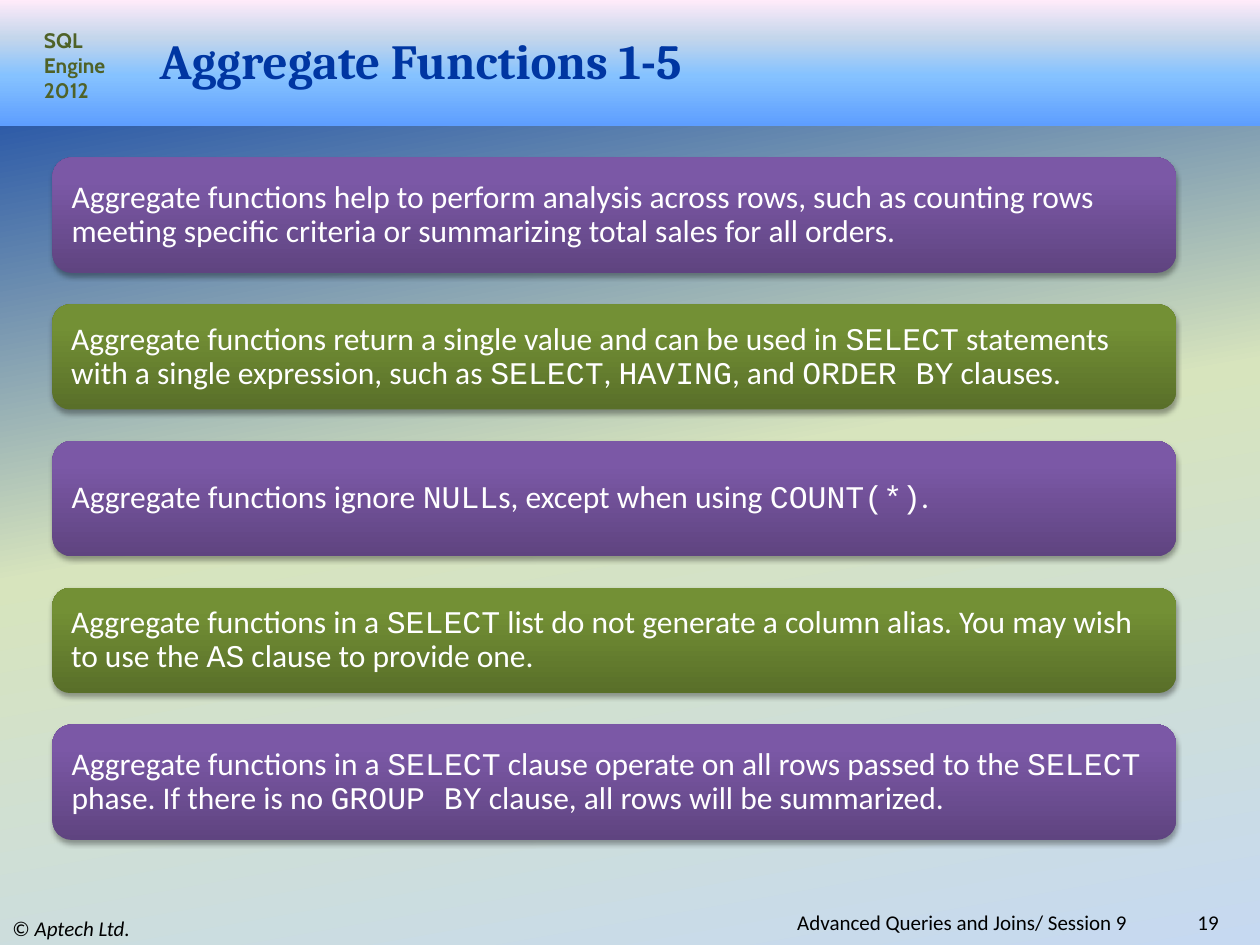
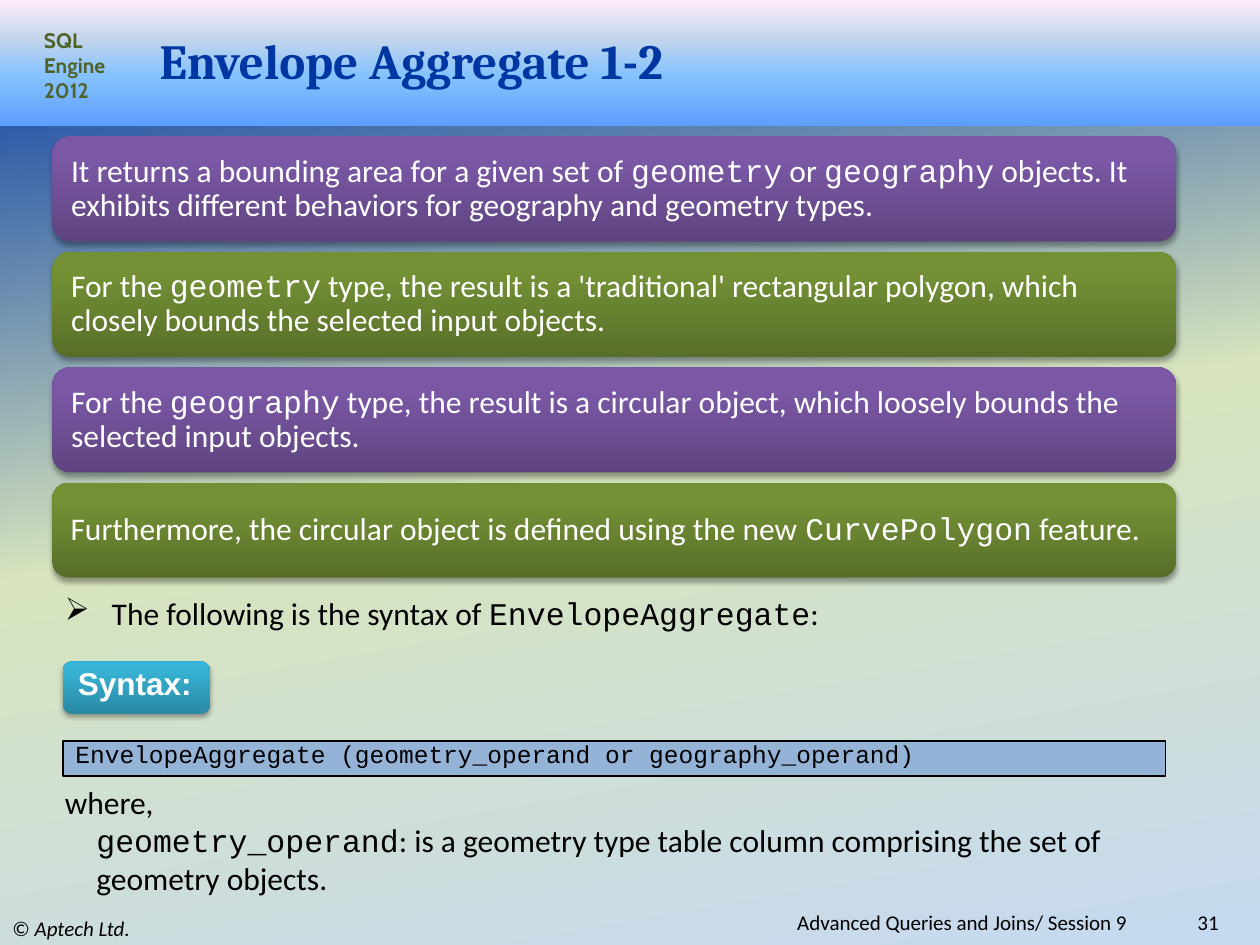
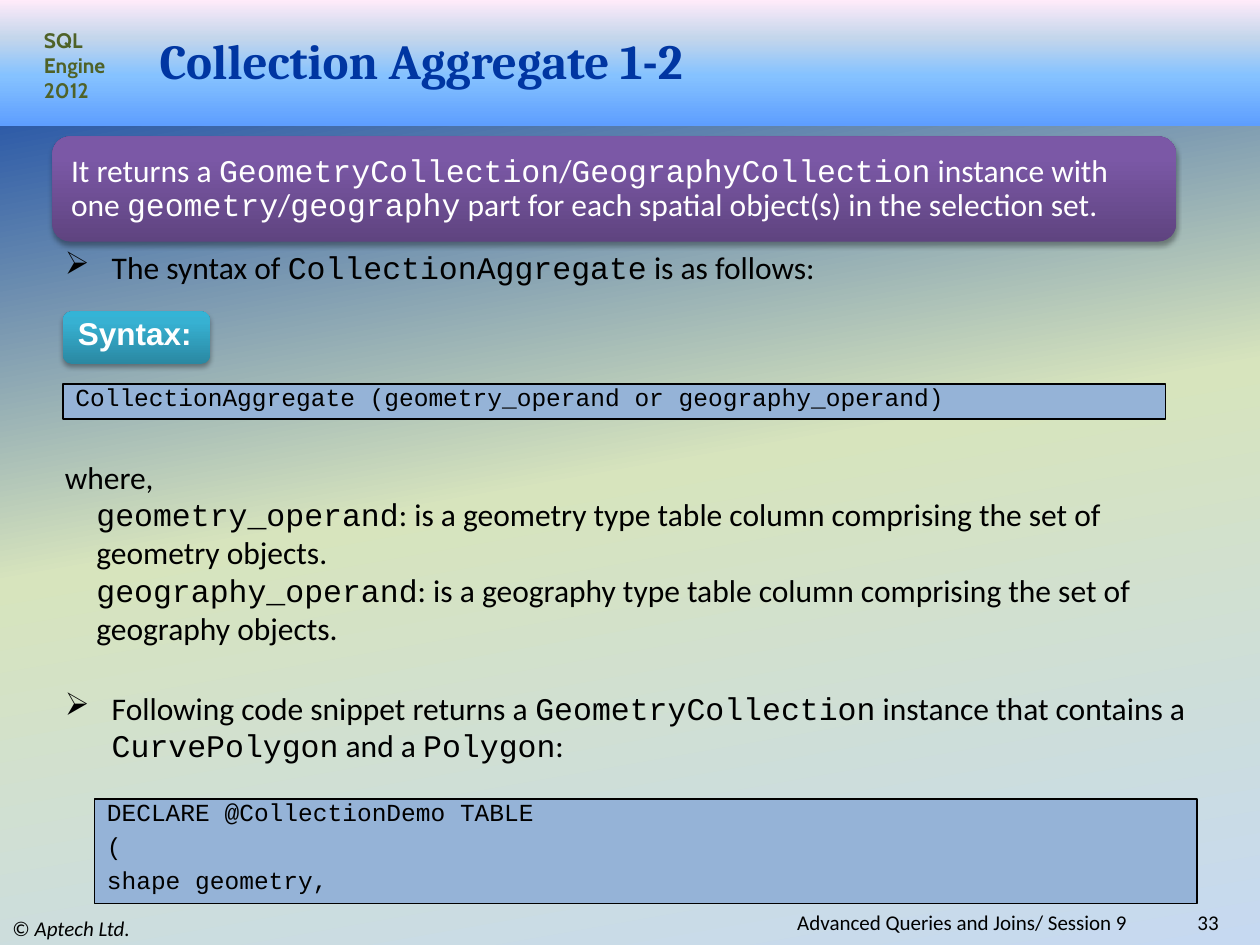
from lxml import etree
from pptx import Presentation
from pptx.dml.color import RGBColor
from pptx.enum.shapes import MSO_SHAPE
from pptx.enum.text import MSO_ANCHOR, MSO_AUTO_SIZE, PP_ALIGN
from pptx.oxml.ns import qn
from pptx.util import Pt

RECTANGLE = MSO_SHAPE.RECTANGLE
ROUNDED = MSO_SHAPE.ROUNDED_RECTANGLE
TOP, MIDDLE = MSO_ANCHOR.TOP, MSO_ANCHOR.MIDDLE
LEFT, RIGHT = PP_ALIGN.LEFT, PP_ALIGN.RIGHT
NO_AUTOFIT = MSO_AUTO_SIZE.NONE

TITLE_ONLY = 5
BODY_FONT, CODE_FONT = "Calibri", "Courier New"
BLACK, WHITE, NAVY, OLIVE, CODE_BLUE = "000000", "FFFFFF", "0036A2", "4F6228", "95B3D7"
BACKDROP = [(0, NAVY), (50, "D7E4BD"), (100, "C6D9F1")]
BAND = [(0, "5E9EFF"), (40, "85C2FF"), (70, "C4D6EB"), (100, "FFEBFA")]
PURPLE = [(0, "5F4480"), (80, "7B58A6"), (100, "7C57A8")]
GREEN = [(0, "596F29"), (80, "739035"), (100, "749334")]
TEAL = [(0, "2A88A2"), (80, "37B1D2"), (100, "34B4D6")]

GEOMETRY_OPERAND = (
    "`geometry_operand`: is a geometry type table column comprising the set of geometry objects."
)
GEOGRAPHY_OPERAND = (
    "`geography_operand`: is a geography type table column comprising the set of geography objects."
)


def rgb(value):
    return RGBColor.from_string(value)


def add_element(parent, tag, **attributes):
    element = etree.SubElement(parent, qn(tag))
    for name, value in attributes.items():
        element.set(name, str(value))
    return element


def paint_gradient(fill, holder, stops, angle):
    fill.gradient()
    gradient = next(holder.iter(qn("a:gradFill")))
    for child in list(gradient):
        gradient.remove(child)
    stop_list = add_element(gradient, "a:gsLst")
    for position, color in stops:
        stop = add_element(stop_list, "a:gs", pos=position * 1000)
        add_element(stop, "a:srgbClr", val=color)
    add_element(gradient, "a:lin", ang=angle * 60000, scaled=0)


def write(frame, text, size=18, font=BODY_FONT, color=BLACK, bold=False, align=LEFT,
          indent=0, bullet=None, line_spacing=None, before=None, accent=None):
    """Text between backticks takes the accent format."""
    paragraph = frame.paragraphs[0]
    if paragraph.runs:
        paragraph = frame.add_paragraph()
    if indent:
        properties = paragraph._p.get_or_add_pPr()
        properties.set("marL", str(Pt(indent)))
        properties.set("indent", str(-Pt(indent) if bullet else 0))
        if bullet:
            add_element(properties, "a:buChar", char=bullet)
    paragraph.alignment = align
    if line_spacing:
        paragraph.line_spacing = line_spacing
    if before:
        paragraph.space_before = Pt(before)
    for index, part in enumerate(text.split("`")):
        if not part:
            continue
        run = paragraph.add_run()
        run.text = part
        run.font.size = Pt(size)
        run.font.name = font
        run.font.bold = bold
        run.font.color.rgb = rgb(color)
        if index % 2:
            for name, value in (accent or {"name": CODE_FONT}).items():
                setattr(run.font, name, value)


class Deck:
    def __init__(self):
        self.presentation = Presentation()
        self.presentation.slide_width = Pt(720)
        self.presentation.slide_height = Pt(540)
        master = self.presentation.slide_master
        paint_gradient(master.background.fill, master.element, BACKDROP, 80)
        self.slide = None

    def start_slide(self, title, number):
        layout = self.presentation.slide_layouts[TITLE_ONLY]
        self.slide = self.presentation.slides.add_slide(layout)
        band = self.shape(RECTANGLE, 0, 0, 720, 72)
        paint_gradient(band.fill, band._element, BAND, 270)
        heading = self.slide.shapes.title
        heading._element.addprevious(band._element)
        heading.left, heading.top, heading.width, heading.height = Pt(84), Pt(18), Pt(600), Pt(32.4)
        frame = heading.text_frame
        frame.auto_size = NO_AUTOFIT
        frame.vertical_anchor = MIDDLE
        write(frame, title, size=28, font="Cambria", color=NAVY, bold=True)
        write(self.text_box(18, 12, 54, 51), "SQL Engine 2012",
              size=12, font="Cabin", color=OLIVE, bold=True)
        write(self.text_box(0, 520.5, 240, 19.5, MIDDLE), "© `Aptech Ltd.`",
              size=12, accent={"italic": True})
        write(self.text_box(180, 520.5, 474, 13, MIDDLE),
              "Advanced Queries and Joins/ Session 9 ", size=12, align=RIGHT)
        write(self.text_box(642, 520.5, 61.5, 13, MIDDLE), str(number), size=12, align=RIGHT)

    def shape(self, kind, left, top, width, height):
        shape = self.slide.shapes.add_shape(kind, Pt(left), Pt(top), Pt(width), Pt(height))
        shape.shadow.inherit = False
        shape.line.fill.background()
        shape.text_frame.word_wrap = True
        return shape

    def text_box(self, left, top, width, height, anchor=TOP):
        box = self.slide.shapes.add_textbox(Pt(left), Pt(top), Pt(width), Pt(height))
        frame = box.text_frame
        frame.word_wrap = True
        frame.vertical_anchor = anchor
        return frame

    def raised_box(self, left, top, width, height, stops):
        box = self.shape(ROUNDED, left, top, width, height)
        paint_gradient(box.fill, box._element, stops, 270)
        effects = next(box._element.iter(qn("a:effectLst")))
        shadow = add_element(effects, "a:outerShdw", blurRad=Pt(3.1), dist=Pt(1.8),
                             dir=5400000, rotWithShape=0)
        color = add_element(shadow, "a:srgbClr", val=BLACK)
        add_element(color, "a:alpha", val=35000)
        box.text_frame.vertical_anchor = MIDDLE
        return box.text_frame

    def panels(self, top, gap, items):
        for index, (height, text) in enumerate(items):
            frame = self.raised_box(30, top, 642, height, GREEN if index % 2 else PURPLE)
            frame.margin_left = frame.margin_right = Pt(7.75)
            frame.margin_top = frame.margin_bottom = Pt(3)
            write(frame, text, color=WHITE, line_spacing=0.9)
            top += height + gap

    def bullet(self, top, height, text):
        write(self.text_box(30, top, 660, height), text, indent=26.75, bullet="➢")

    def syntax_label(self, top):
        write(self.raised_box(36, top, 84, 30, TEAL), "Syntax:",
              font="Arial", color=WHITE, bold=True, line_spacing=0.7)

    def code(self, left, top, height, *lines):
        box = self.shape(RECTANGLE, left, top, 630, height)
        box.fill.solid()
        box.fill.fore_color.rgb = rgb(CODE_BLUE)
        box.line.color.rgb = rgb(BLACK)
        box.line.width = Pt(0.75)
        box.text_frame.vertical_anchor = TOP
        for index, line in enumerate(lines):
            write(box.text_frame, line, size=14, font=CODE_FONT, line_spacing=0.7,
                  before=7.75 if index else None)

    def where(self, top, height, *operands):
        frame = self.text_box(30, top, 666, height)
        write(frame, "where,")
        for operand in operands:
            write(frame, operand, indent=18)


def main():
    deck = Deck()

    deck.start_slide("Aggregate Functions 1-5", 19)
    deck.panels(90, 18, [
        (66, "Aggregate functions help to perform analysis across rows, such as counting rows "
             "meeting specific criteria or summarizing total sales for all orders."),
        (60, "Aggregate functions return a single value and can be used in `SELECT` statements "
             "with a single expression, such as `SELECT`, `HAVING`, and `ORDER BY` clauses."),
        (66, "Aggregate functions ignore `NULL`s, except when using `COUNT(*)`."),
        (60, "Aggregate functions in a `SELECT` list do not generate a column alias. "
             "You may wish to use the `AS` clause to provide one."),
        (66, "Aggregate functions in a `SELECT` clause operate on all rows passed to the `SELECT` "
             "phase. If there is no `GROUP BY` clause, all rows will be summarized."),
    ])

    deck.start_slide("Envelope Aggregate 1-2", 31)
    deck.panels(78, 6, [
        (60, "It returns a bounding area for a given set of `geometry` or `geography` objects. "
             "It exhibits different behaviors for geography and geometry types."),
        (60, "For the `geometry` type, the result is a 'traditional' rectangular polygon, "
             "which closely bounds the selected input objects."),
        (60, "For the `geography` type, the result is a circular object, "
             "which loosely bounds the selected input objects."),
        (54, "Furthermore, the circular object is defined using the new `CurvePolygon` feature."),
    ])
    deck.bullet(336, 29, "The following is the syntax of `EnvelopeAggregate`:")
    deck.syntax_label(378)
    deck.code(36, 423.5, 20, "EnvelopeAggregate (geometry_operand or geography_operand)")
    deck.where(444, 73, GEOMETRY_OPERAND)

    deck.start_slide("Collection Aggregate 1-2", 33)
    deck.panels(78, 6, [
        (60, "It returns a `GeometryCollection`/`GeographyCollection` instance with one "
             "`geometry`/`geography` part for each spatial object(s) in the selection set."),
    ])
    deck.bullet(138, 29, "The syntax of `CollectionAggregate` is as follows:")
    deck.syntax_label(178)
    deck.code(36, 219.5, 20, "CollectionAggregate (geometry_operand or geography_operand)")
    deck.where(258, 117, GEOMETRY_OPERAND, GEOGRAPHY_OPERAND)
    deck.bullet(390, 51, "Following code snippet returns a `GeometryCollection` instance that "
                         "contains a `CurvePolygon` and a `Polygon`:")
    deck.code(54, 456.5, 60, "DECLARE @CollectionDemo TABLE", "(", "shape geometry,")

    deck.presentation.save("out.pptx")


if __name__ == "__main__":
    main()
